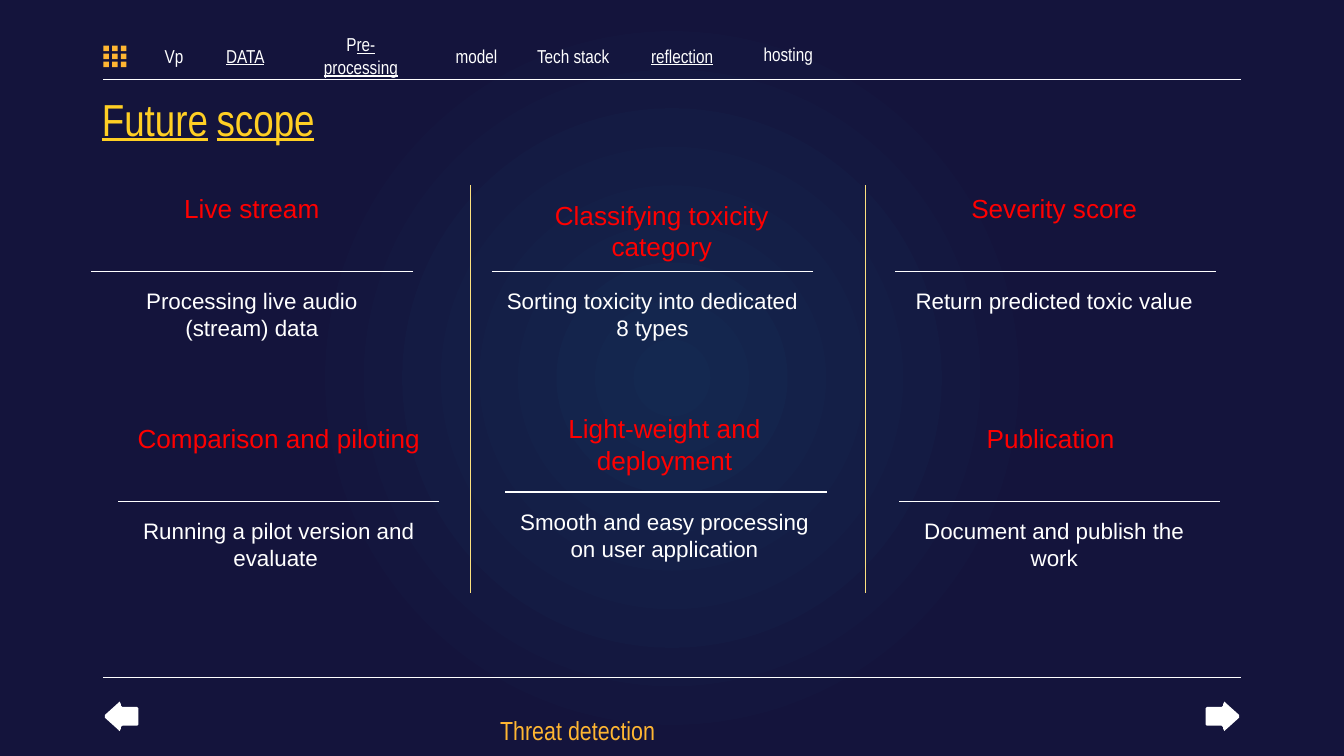
"""Build the "Future scope" slide: nav bar, six cards in three columns, footer."""
from itertools import product

from pptx import Presentation
from pptx.dml.color import RGBColor
from pptx.enum.shapes import MSO_CONNECTOR, MSO_SHAPE
from pptx.enum.text import MSO_ANCHOR, PP_ALIGN
from pptx.oxml import parse_xml
from pptx.oxml.ns import nsdecls
from pptx.util import Inches, Pt

COLORS = {"center": "142850", "edge": "14143C", "white": "FFFFFF", "orange": "FFB632",
          "yellow": "FFCF24", "red": "FF0000", "divider": "FCE17F"}

STYLES = {
    "nav": {"name": "Arial Narrow", "size": Pt(10), "color": "white"},
    "title": {"name": "Arial Narrow", "size": Pt(24), "color": "yellow"},
    "title gap": {"name": "Arial Narrow", "size": Pt(20), "color": "white"},
    "heading": {"name": "Arial", "size": Pt(14), "color": "red"},
    "body": {"name": "Arial", "size": Pt(12), "color": "white"},
    "footer": {"name": "Arial Narrow", "size": Pt(14), "color": "orange"},
}

NAV = [
    (1.01, 0.3, 0.57, [("Vp", False)]),
    (1.54, 0.3, 0.57, [("DATA", True)]),
    (2.31, 0.3, 0.75, [("P", False), ("re-processing", True)]),
    (3.26, 0.3, 0.57, [("model", False)]),
    (3.98, 0.3, 0.57, [("Tech stack", False)]),
    (4.67, 0.3, 0.81, [("reflection", True)]),
    (5.58, 0.29, 0.57, [("hosting", False)]),
]

CARDS = [
    {"heading": "Live stream", "body": "Processing live audio (stream) data",
     "left": 0.66, "rule": (0.68, 2.02)},
    {"heading": "Classifying toxicity category", "body": "Sorting toxicity into dedicated 8 types",
     "left": 3.64, "rule": (3.66, 2.02), "nudge": (0.07, 0.05)},
    {"heading": "Severity score", "body": "Return predicted toxic value",
     "left": 6.63, "rule": (6.66, 2.02)},
    {"heading": "Comparison and piloting", "body": "Running a pilot version and evaluate ",
     "left": 0.86, "rule": (0.88, 3.73)},
    {"heading": "Light-weight and deployment", "body": "Smooth and easy processing on user application",
     "left": 3.73, "rule": (3.76, 3.66)},
    {"heading": "Publication ", "body": "Document and publish the work",
     "left": 6.63, "rule": (6.69, 3.73)},
]
CARD_WIDTH, RULE_WIDTH = 2.43, 2.39
HEADING_RISE, BODY_DROP = 0.69, 0.02

FRAME_RULES = [0.59, 5.04]
DIVIDERS = [3.5, 6.44]
ARROW_MIDDLE = 5.33
ARROW_HALF = [(9.22, 0.01), (9.12, 0.1), (9.11, 0.11), (9.1, 0.09), (9.1, 0.08),
              (9.09, 0.07), (8.98, 0.07), (8.97, 0.06)]

prs = Presentation()
prs.slide_width = Inches(10)
prs.slide_height = prs.slide_width * 9 // 16
slide = prs.slides.add_slide(prs.slide_layouts[6])


def rgb(color):
    return RGBColor.from_string(COLORS[color])


def paint_background():
    slide.background.fill.solid()
    solid = slide.element.xpath("p:cSld/p:bg/p:bgPr/a:solidFill")[0]
    stops = "".join(f'<a:gs pos="{pos}"><a:srgbClr val="{COLORS[color]}"/></a:gs>'
                    for pos, color in [(0, "center"), (50000, "edge"), (100000, "edge")])
    solid.getparent().replace(solid, parse_xml(
        f'<a:gradFill {nsdecls("a")} rotWithShape="1"><a:gsLst>{stops}</a:gsLst>'
        '<a:path path="circle"><a:fillToRect l="50000" t="50000" r="50000" b="50000"/></a:path>'
        "</a:gradFill>"))


def add_text(box, runs, align=PP_ALIGN.CENTER, anchor=MSO_ANCHOR.TOP, insets=(0.1, 0.1)):
    frame = slide.shapes.add_textbox(*map(Inches, box)).text_frame
    settings = {"word_wrap": True, "vertical_anchor": anchor,
                "margin_left": Inches(insets[0]), "margin_right": Inches(insets[1]),
                "margin_top": Inches(0.1), "margin_bottom": Inches(0.1)}
    for key, value in settings.items():
        setattr(frame, key, value)
    paragraph = frame.paragraphs[0]
    paragraph.alignment = align
    for words, style, underline in runs:
        run = paragraph.add_run()
        run.text = words
        for key, value in {**STYLES[style], "underline": underline}.items():
            if key == "color":
                run.font.color.rgb = rgb(value)
            else:
                setattr(run.font, key, value)


def add_rule(x1, y1, x2, y2, color="white"):
    rule = slide.shapes.add_connector(MSO_CONNECTOR.STRAIGHT, *map(Inches, (x1, y1, x2, y2)))
    rule.line.color.rgb = rgb(color)
    rule.line.width = Pt(0.75)
    rule.element.spPr.append(parse_xml(f'<a:effectLst {nsdecls("a")}/>'))


def paint(shape, color):
    shape.shadow.inherit = False
    shape.fill.solid()
    shape.fill.fore_color.rgb = rgb(color)
    shape.line.fill.background()


def add_arrow(mirrored):
    outline = [(x, ARROW_MIDDLE - dy) for x, dy in ARROW_HALF]
    outline += [(x, ARROW_MIDDLE + dy) for x, dy in reversed(ARROW_HALF)]
    points = [(Inches(10 - x if mirrored else x), Inches(y)) for x, y in outline]
    builder = slide.shapes.build_freeform(*points[0])
    builder.add_line_segments(points[1:], close=True)
    paint(builder.convert_to_shape(), "white")


paint_background()
for y in FRAME_RULES:
    add_rule(0.77, y, 9.23, y)
add_text((3.5, 5.27, 1.5, 0.33), [("Threat detection", "footer", False)],
         anchor=MSO_ANCHOR.MIDDLE, insets=(0.1, 0))
for mirrored in (False, True):
    add_arrow(mirrored)
add_text((0.66, 0.58, 2.34, 0.44),
         [("Future", "title", True), (" ", "title gap", False), ("scope", "title", True)],
         align=PP_ALIGN.LEFT)

for card in CARDS:
    rule_left, rule_top = card["rule"]
    dx, dy = card.get("nudge", (0, 0))
    add_text((card["left"] + dx, rule_top - HEADING_RISE + dy, CARD_WIDTH, 0.48),
             [(card["heading"], "heading", False)])
    add_text((card["left"], rule_top + BODY_DROP, CARD_WIDTH, 0.66),
             [(card["body"], "body", False)])
    add_rule(rule_left, rule_top, rule_left + RULE_WIDTH, rule_top)

for left, top, width, parts in NAV:
    add_text((left, top, width, 0.23), [(words, "nav", underline) for words, underline in parts],
             anchor=MSO_ANCHOR.MIDDLE, insets=(0, 0))

menu_icon = slide.shapes.add_group_shape()
for column, row in product(range(3), repeat=2):
    dot = menu_icon.shapes.add_shape(
        MSO_SHAPE.RECTANGLE, Inches(0.77) + column * Inches(0.13) // 2,
        Inches(0.34 + 0.06 * row), Inches(0.04), Inches(0.04))
    paint(dot, "orange")

for x in DIVIDERS:
    add_rule(x, 1.38, x, 4.41, "divider")

prs.save("out.pptx")
